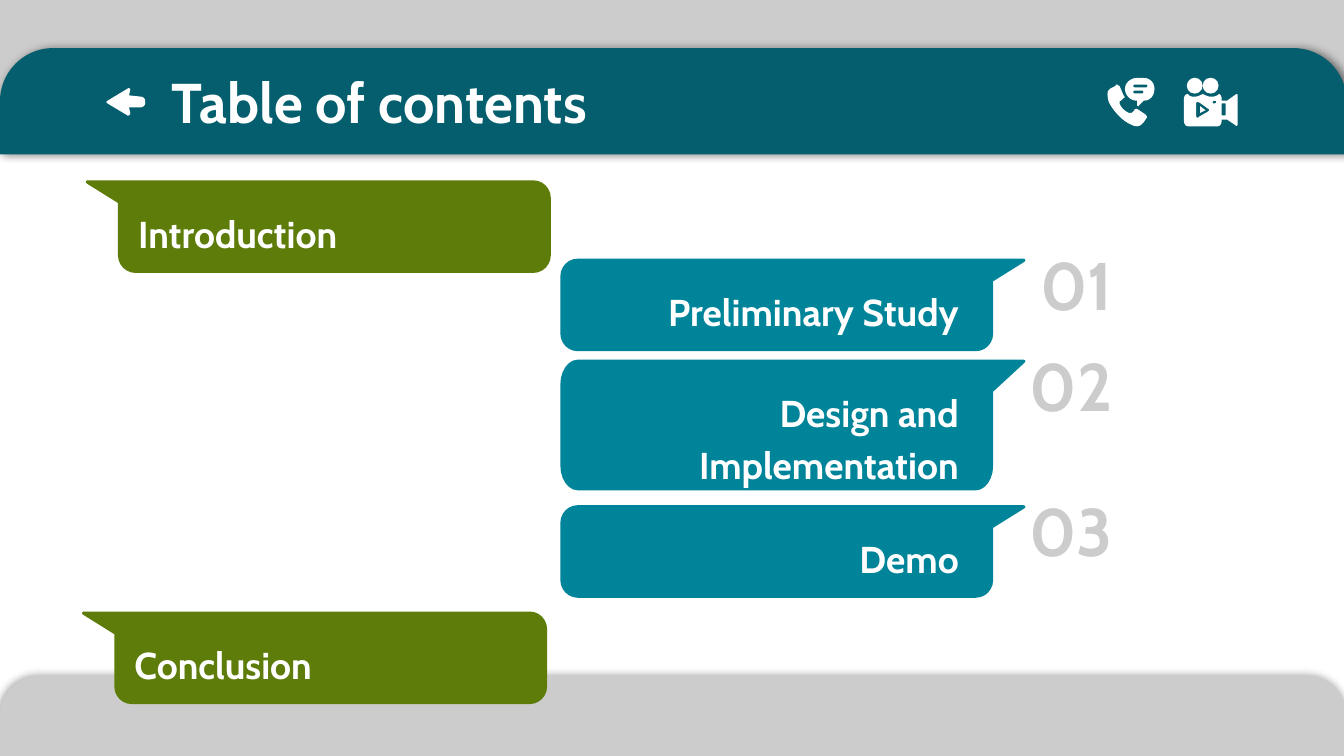
from dataclasses import dataclass

from lxml import etree
from pptx import Presentation
from pptx.dml.color import RGBColor
from pptx.enum.shapes import MSO_SHAPE
from pptx.enum.text import MSO_ANCHOR, PP_ALIGN
from pptx.oxml.ns import qn
from pptx.util import Cm, Pt

LEFT, RIGHT = PP_ALIGN.LEFT, PP_ALIGN.RIGHT
TOP, BOTTOM = MSO_ANCHOR.TOP, MSO_ANCHOR.BOTTOM
RECTANGLE, OVAL = MSO_SHAPE.RECTANGLE, MSO_SHAPE.OVAL
ROUND_TOP = MSO_SHAPE.ROUND_2_SAME_RECTANGLE


@dataclass(frozen=True)
class Theme:
    font: str = "Cabin"
    white: RGBColor = RGBColor(0xFF, 0xFF, 0xFF)
    gray: RGBColor = RGBColor(0xCC, 0xCC, 0xCC)
    header: RGBColor = RGBColor(0x04, 0x5E, 0x6D)
    teal: RGBColor = RGBColor(0x00, 0x84, 0x99)
    green: RGBColor = RGBColor(0x5D, 0x7C, 0x0A)
    title: Pt = Pt(30)
    label: Pt = Pt(20)
    number: Pt = Pt(36)


theme = Theme()
prs = Presentation()
prs.slide_width, prs.slide_height = Cm(25.4), Cm(14.29)
slide = prs.slides.add_slide(prs.slide_layouts[6])
shapes = slide.shapes


def add_text(text, left, top, width, height, *, size, color=theme.white,
             align=LEFT, anchor=TOP, spacing=1.0):
    frame = shapes.add_textbox(Cm(left), Cm(top), Cm(width), Cm(height)).text_frame
    frame.word_wrap = True
    frame.vertical_anchor = anchor
    frame.margin_left = frame.margin_right = Cm(0.25)
    frame.margin_top = frame.margin_bottom = Cm(0.25)
    paragraph = frame.paragraphs[0]
    paragraph.alignment, paragraph.line_spacing = align, spacing
    run = paragraph.add_run()
    run.text = text
    run.font.name, run.font.size, run.font.bold = theme.font, size, True
    run.font.color.rgb = color


def add_outline(contours, color, unit=Cm(1), steps=6):
    """Fill closed contours; a pair is a corner, six numbers are a cubic curve."""
    builder = None
    for contour in contours:
        points = [contour[0]]
        for node in contour[1:]:
            if len(node) == 2:
                points.append(node)
                continue
            curve = [points[-1], node[0:2], node[2:4], node[4:6]]
            for t in (i / steps for i in range(1, steps + 1)):
                weights = ((1 - t) ** 3, 3 * t * (1 - t) ** 2, 3 * t * t * (1 - t), t ** 3)
                points.append(tuple(sum(w * p[axis] for w, p in zip(weights, curve))
                                    for axis in (0, 1)))
        points = [(round(x * unit), round(y * unit)) for x, y in points]
        if builder is None:
            builder = shapes.build_freeform(*points[0])
        else:
            builder.move_to(*points[0])
        builder.add_line_segments(points[1:], close=True)
    outline = builder.convert_to_shape()
    outline.fill.solid()
    outline.fill.fore_color.rgb = color
    outline.line.fill.background()
    outline.shadow.inherit = False
    return outline


# Background bars: preset, top, height, colour, shadow (opacity %, direction in degrees)
bars = [
    (ROUND_TOP, 12.78, 1.51, theme.gray, (32, 237)),
    (RECTANGLE, 0, 2.57, theme.gray, None),
    (ROUND_TOP, 0.91, 2.01, theme.header, (50, 0)),
]
for preset, top, height, color, glow in bars:
    bar = shapes.add_shape(preset, 0, Cm(top), Cm(25.45), Cm(height))
    bar.fill.solid()
    bar.fill.fore_color.rgb = color
    bar.line.fill.background()
    bar.shadow.inherit = False
    if preset == ROUND_TOP:
        bar.adjustments[0] = 0.5
    if glow:
        opacity, direction = glow
        effects = bar._element.spPr.find(qn("a:effectLst"))
        shadow = etree.SubElement(effects, qn("a:outerShdw"), blurRad=str(Pt(4.5)),
                                  dist=str(Pt(1.5)), dir=str(direction * 60000),
                                  algn="bl", rotWithShape="0")
        tint = etree.SubElement(shadow, qn("a:srgbClr"), val="000000")
        etree.SubElement(tint, qn("a:alpha"), val=str(opacity * 1000))

add_text("Table of contents", 3, 1.02, 20.4, 1.6, size=theme.title)

# Speech bubbles: text, number, edge away from the tail, top, height
bubbles = [
    ("Introduction", None, 10.41, 3.41, 1.75),
    ("Preliminary Study", "01", 10.59, 4.89, 1.75),
    ("Design and Implementation", "02", 10.59, 6.8, 2.47),
    ("Demo", "03", 10.59, 9.55, 1.75),
    ("Conclusion", None, 10.34, 11.56, 1.75),
]
BODY, TIP, RADIUS = 8.18, 8.79, 0.33
for text, number, edge, top, height in bubbles:
    side = 1 if number else -1
    bend_x, radius_y = RADIUS * 0.45, height * 0.19
    bend_y = radius_y * 0.45
    profile = [
        (TIP - 0.04, 0), (TIP, 0, TIP + 0.01, 0.04, TIP - 0.02, 0.06),
        (BODY, height * 0.245), (BODY, height - radius_y),
        (BODY, height - bend_y, BODY - bend_x, height, BODY - RADIUS, height),
        (RADIUS, height), (bend_x, height, 0, height - bend_y, 0, height - radius_y),
        (0, radius_y), (0, bend_y, bend_x, 0, RADIUS, 0),
    ]
    placed = [tuple(top + v if i % 2 else edge + side * v for i, v in enumerate(node))
              for node in profile]
    add_outline([placed], theme.teal if number else theme.green)
    add_text(text, edge - (0.35 if number else 8.05), top + 0.2, 8.13, 1.2,
             size=theme.label, align=RIGHT if number else LEFT, spacing=1.15)
    if number:
        add_text(number, 17.88, top - 0.45, 3.4, 1.93, size=theme.number,
                 color=theme.gray, align=RIGHT, anchor=BOTTOM)

# Header icons, drawn on a fine grid
GRID = Cm(0.0254)
back_arrow = [
    (80, 75), (79, 75.5, 79, 76.5, 80, 77), (95, 86), (96, 86.3, 97, 85.5, 97, 84),
    (96, 80), (104, 80), (106, 80, 108, 79, 108, 77), (108, 75),
    (108, 73, 106, 72, 105, 72), (96, 71), (97, 67), (97, 66, 96, 65, 95, 66),
]
handset = [
    (831, 63), (830, 63, 830, 63, 830, 64), (826, 66), (823, 68, 824, 72, 825, 76),
    (828, 82, 834, 89, 840, 92), (842, 93, 844, 94, 846, 94),
    (848, 94, 849, 93, 851, 91), (853, 88), (854, 87, 853, 86, 852, 85), (846, 81),
    (846, 81, 844, 81, 844, 82), (842, 84), (841, 84, 840, 84, 840, 84),
    (837, 83, 834, 80, 833, 77), (833, 76, 833, 75, 834, 75), (836, 73),
    (837, 73, 837, 72, 836, 71), (833, 64), (832, 64, 832, 63, 831, 63),
]
message = [
    (846, 58), (841, 58, 837, 62, 837, 66), (837, 71, 841, 75, 846, 75), (846, 78),
    (846, 79, 847, 79, 847, 79), (851, 75), (856, 75, 859, 71, 859, 66),
    (859, 62, 856, 58, 851, 58),
]
message_lines = [
    [(844, y), (right, y), (right + 1, y, right + 1, y + 2, right, y + 2),
     (844, y + 2), (843, y + 2, 843, y, 844, y)]
    for y, right in ((63, 853), (67.5, 850))
]
camera = [
    (920, 70), (913, 75), (909, 75), (909, 73), (909, 72, 908, 70, 907, 70),
    (905, 72, 903, 72, 901, 72), (899, 72, 897, 71, 895, 70),
    (893, 71, 891, 72, 889, 72), (887, 72, 885, 72, 884, 70),
    (882, 70, 881, 72, 881, 73), (881, 90), (881, 92, 882, 94, 884, 94), (906, 94),
    (908, 94, 909, 92, 909, 90), (909, 89), (913, 89), (919, 93),
    (920, 94, 921, 94, 921, 92), (921, 71), (921, 70, 920, 70, 920, 70),
]
camera_light = [(903, 75), (904, 75, 905, 75, 905, 76), (905, 77, 904, 77, 903, 77),
                (902, 77, 902, 76, 903, 75)]
camera_slot = [(912, 77), (912, 86), (909, 86), (909, 77)]
play_frame = [(892, 76), (899, 81), (900, 81, 900, 82, 899, 83), (892, 87),
              (892, 88, 890, 88, 890, 86), (890, 77), (890, 76, 891, 76, 892, 76)]
play = [(893, 79), (893, 84), (897, 82)]

add_outline([back_arrow], theme.white, GRID)
phone_parts = [add_outline([handset], theme.white, GRID),
               add_outline([message, *message_lines], theme.white, GRID)]
camera_parts = [
    add_outline([camera, camera_light, camera_slot, play_frame], theme.white, GRID),
    add_outline([play], theme.white, GRID),
]
for reel_left in (22.43, 22.73):
    reel = shapes.add_shape(OVAL, Cm(reel_left), Cm(1.47), Cm(0.3), Cm(0.3))
    reel.fill.solid()
    reel.fill.fore_color.rgb = theme.white
    reel.line.fill.background()
    reel.shadow.inherit = False
    camera_parts.append(reel)
for parts in (phone_parts, camera_parts):
    shapes.add_group_shape(parts)

prs.save("out.pptx")
